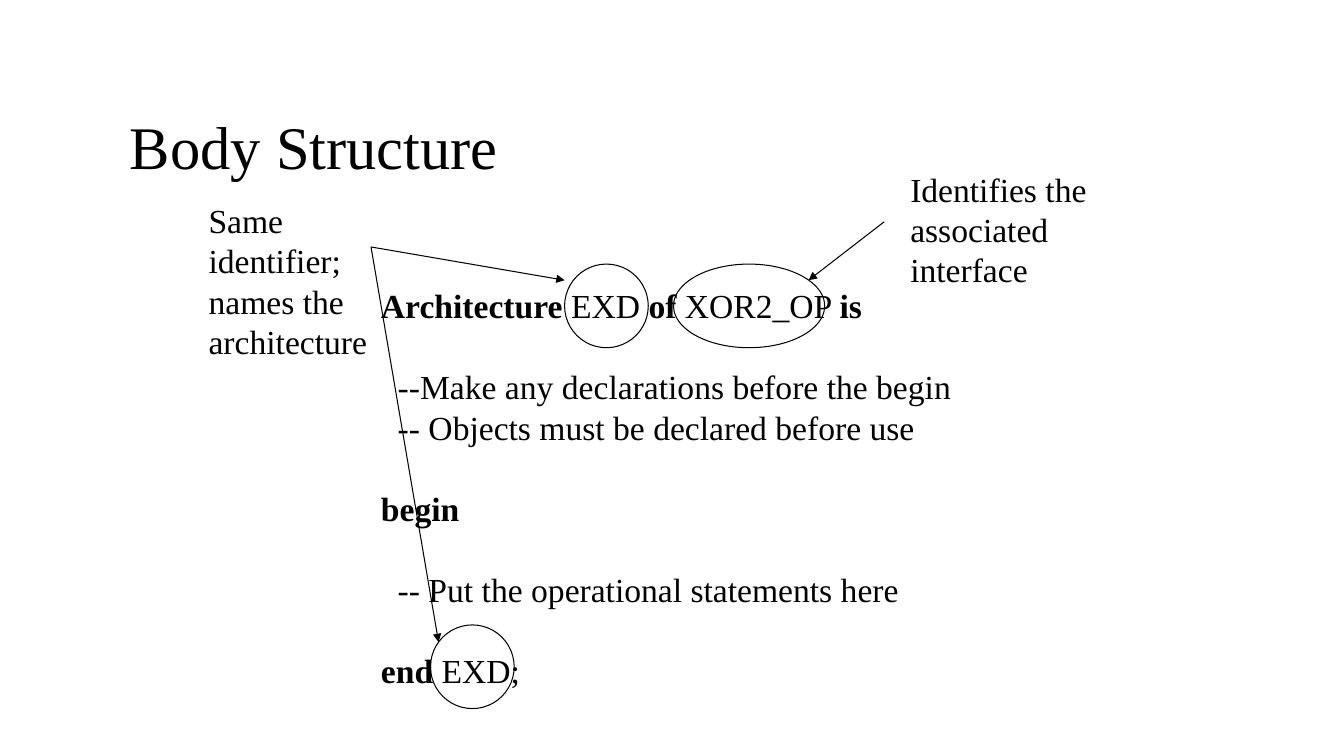
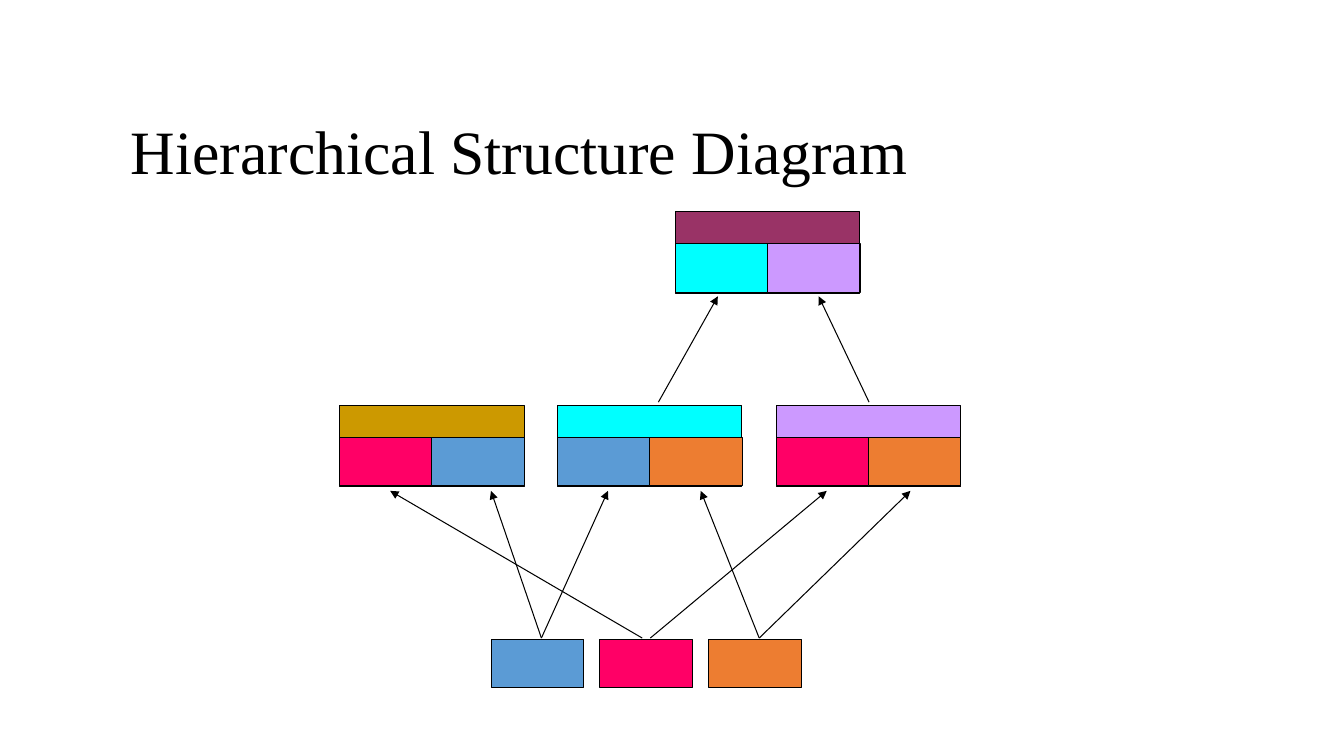
"""Build two slides on body structure and hierarchical structure."""
from typing import NamedTuple, Optional

from lxml.etree import SubElement
from pptx import Presentation
from pptx.dml.color import RGBColor
from pptx.enum.shapes import MSO_CONNECTOR, MSO_SHAPE
from pptx.enum.text import MSO_ANCHOR, MSO_AUTO_SIZE
from pptx.oxml.ns import qn
from pptx.slide import Slide
from pptx.util import Inches, Pt

BLACK = RGBColor(0x00, 0x00, 0x00)
PLUM = RGBColor(0x99, 0x33, 0x66)
CYAN = RGBColor(0x00, 0xFF, 0xFF)
LILAC = RGBColor(0xCC, 0x99, 0xFF)
GOLD = RGBColor(0xCC, 0x99, 0x00)
PINK = RGBColor(0xFF, 0x00, 0x66)
BLUE = RGBColor(0x5B, 0x9B, 0xD5)
ORANGE = RGBColor(0xED, 0x7D, 0x31)

FONT = "Times New Roman"
BODY_SIZE = 24
LINE_PITCH = Pt(28.9)
LINE_WIDTH = Pt(0.75)
MODULE_W, MODULE_H = 1.83, 0.81
PART_W, PART_H = 0.92, 0.48
HEADER_H = 0.32


class Box(NamedTuple):
    left: float
    top: float
    width: float
    height: float


class Run(NamedTuple):
    text: str
    bold: bool = False


class Line(NamedTuple):
    runs: list[Run]
    gap: bool = False


class Note(NamedTuple):
    box: Box
    lines: list[Line]
    wrap: bool = False


class Arrow(NamedTuple):
    x1: float
    y1: float
    x2: float
    y2: float


class Module(NamedTuple):
    left: float
    top: float
    header: RGBColor
    parts: tuple[RGBColor, RGBColor]


CODE = Note(Box(3.68, 2.78, 5.91, 4.14), [
    Line([Run("Architecture ", True), Run("EXD "), Run("of ", True),
          Run("XOR2_OP "), Run("is", True)]),
    Line([Run("  ", True), Run("--Make any declarations before the begin")], gap=True),
    Line([Run("  -- Objects must be declared before use")]),
    Line([Run("begin", True)], gap=True),
    Line([Run("  -- Put the operational statements here")], gap=True),
    Line([Run("end ", True), Run("EXD;")], gap=True),
])
IDENTIFIER_NOTE = Note(Box(1.97, 1.93, 1.95, 1.72), [
    Line([Run("Same identifier;")]),
    Line([Run("names the architecture")]),
], wrap=True)
INTERFACE_NOTE = Note(Box(8.93, 1.62, 1.97, 1.31), [
    Line([Run("Identifies the")]),
    Line([Run("associated")]),
    Line([Run("interface")]),
])
RINGS = [Box(5.6, 2.62, 0.83, 0.83), Box(4.27, 6.2, 0.83, 0.83), Box(6.68, 2.62, 1.5, 0.83)]
NOTE_ARROWS = [
    Arrow(3.68, 2.45, 5.6, 2.78),
    Arrow(3.68, 2.45, 4.35, 6.37),
    Arrow(8.77, 2.2, 8.02, 2.78),
]

MODULES = [
    Module(6.7, 2.1, PLUM, (CYAN, LILAC)),
    Module(3.37, 4.02, GOLD, (PINK, BLUE)),
    Module(5.53, 4.02, CYAN, (BLUE, ORANGE)),
    Module(7.7, 4.02, LILAC, (PINK, ORANGE)),
]
LEAVES = [BLUE, PINK, ORANGE]
LEAF_LEFT, LEAF_TOP, LEAF_STEP = 4.87, 6.34, 1.08
LEAF_LINKS = [(5.37, 4.87), (5.37, 6.03), (6.37, 3.87), (6.45, 8.2), (7.53, 6.95), (7.53, 9.03)]
MODULE_LINKS = [(6.53, 7.12), (8.62, 8.12)]


def add_run(p, text: str, size: float, bold: bool = False) -> None:
    """Append one styled run to a paragraph."""
    r = p.add_run()
    r.text = text
    r.font.name = FONT
    r.font.size = Pt(size)
    r.font.bold = bold
    r.font.color.rgb = BLACK


def add_box(s: Slide, box: Box):
    """Add a text box and return its text frame."""
    return s.shapes.add_textbox(*map(Inches, box)).text_frame


def add_title(s: Slide, text: str, box: Box, size: float) -> None:
    """Add the slide title."""
    tf = add_box(s, box)
    tf.word_wrap = True
    tf.vertical_anchor = MSO_ANCHOR.MIDDLE
    p = tf.paragraphs[0]
    p.line_spacing = 0.9
    add_run(p, text, size)


def add_note(s: Slide, note: Note) -> None:
    """Add a block of body text, leaving one line free before each gap line."""
    tf = add_box(s, note.box)
    tf.word_wrap = note.wrap
    tf.auto_size = MSO_AUTO_SIZE.SHAPE_TO_FIT_TEXT
    for i, line in enumerate(note.lines):
        p = tf.add_paragraph() if i else tf.paragraphs[0]
        p.line_spacing = LINE_PITCH
        if line.gap:
            p.space_before = LINE_PITCH
        for run in line.runs:
            add_run(p, run.text, BODY_SIZE, run.bold)


def add_outline(s: Slide, kind: MSO_SHAPE, box: Box, fill: Optional[RGBColor] = None) -> None:
    """Add a thinly outlined shape, filled when a colour is given."""
    sp = s.shapes.add_shape(kind, *map(Inches, box))
    sp.shadow.inherit = False
    sp.line.color.rgb = BLACK
    sp.line.width = LINE_WIDTH
    if fill is None:
        sp.fill.background()
    else:
        sp.fill.solid()
        sp.fill.fore_color.rgb = fill


def add_arrow(s: Slide, arrow: Arrow) -> None:
    """Add a straight line that ends in a triangle."""
    cx = s.shapes.add_connector(MSO_CONNECTOR.STRAIGHT, *map(Inches, arrow))
    cx.line.color.rgb = BLACK
    cx.line.width = LINE_WIDTH
    SubElement(cx.line._get_or_add_ln(), qn("a:tailEnd"), type="triangle")
    SubElement(cx._element.spPr, qn("a:effectLst"))


def add_module(s: Slide, module: Module) -> None:
    """Add a module with its header and two parts."""
    left, top, header, parts = module
    add_outline(s, MSO_SHAPE.RECTANGLE, Box(left, top, MODULE_W, MODULE_H), header)
    for i, color in enumerate(parts):
        part = Box(left + i * (MODULE_W - PART_W), top + HEADER_H, PART_W, PART_H)
        add_outline(s, MSO_SHAPE.RECTANGLE, part, color)


def build_body_structure(s: Slide) -> None:
    """Draw the annotated architecture body."""
    add_title(s, "Body Structure", Box(1.19, 1.07, 11.5, 0.83), 43.2)
    for note in (CODE, IDENTIFIER_NOTE, INTERFACE_NOTE):
        add_note(s, note)
    for ring in RINGS:
        add_outline(s, MSO_SHAPE.OVAL, ring)
    for arrow in NOTE_ARROWS:
        add_arrow(s, arrow)


def build_hierarchy(s: Slide) -> None:
    """Draw the module hierarchy."""
    add_title(s, "Hierarchical Structure Diagram", Box(1.2, 1.1, 11.5, 0.86), 44)
    for module in MODULES:
        add_module(s, module)
    for i, color in enumerate(LEAVES):
        leaf = Box(LEAF_LEFT + i * LEAF_STEP, LEAF_TOP, PART_W, PART_H)
        add_outline(s, MSO_SHAPE.RECTANGLE, leaf, color)
    for links, start, end in ((LEAF_LINKS, 6.33, 4.87), (MODULE_LINKS, 3.99, 2.94)):
        for x1, x2 in links:
            add_arrow(s, Arrow(x1, start, x2, end))


def main() -> None:
    """Build and save the presentation."""
    prs = Presentation()
    prs.slide_width, prs.slide_height = Inches(13.33), Inches(7.5)
    blank = prs.slide_layouts[6]
    for build in (build_body_structure, build_hierarchy):
        build(prs.slides.add_slide(blank))
    prs.save("out.pptx")


if __name__ == "__main__":
    main()
